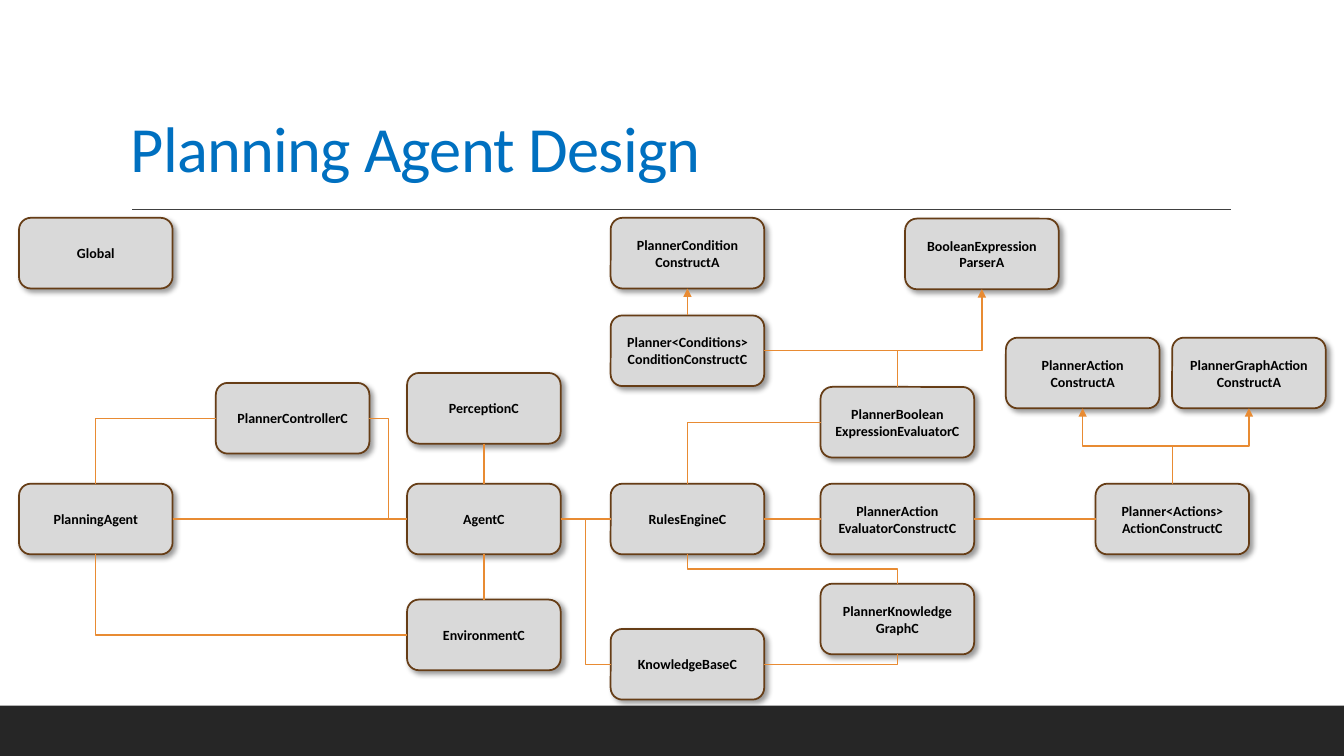
from lxml.etree import SubElement
from pptx import Presentation
from pptx.dml.color import RGBColor
from pptx.enum.shapes import MSO_CONNECTOR as Link, MSO_SHAPE as Shape
from pptx.enum.text import MSO_ANCHOR as Anchor, PP_ALIGN as Align
from pptx.oxml.ns import qn
from pptx.util import Cm, Pt

COLORS = {"bar": "262626", "rule": "404040", "title": "0070C0", "box": "D9D9D9",
          "border": "663D16", "link": "E88B33", "text": "000000"}
FONT = "Calibri"
PAGE_WIDTH, PAGE_HEIGHT = 33.87, 19.05
BOX_WIDTH, BOX_HEIGHT = 3.87, 1.78
TOP, LEFT, BOTTOM, RIGHT = range(4)

# Class boxes: name -> (left, top, lines), in cm from the diagram corner
CLASSES = {
    "global": (0, 0, ["Global"]),
    "agent": (0, 6.7, ["PlanningAgent"]),
    "controller": (4.96, 4.16, ["PlannerControllerC"]),
    "perception": (9.78, 3.91, ["PerceptionC"]),
    "agent_c": (9.78, 6.7, ["AgentC"]),
    "environment": (9.78, 9.62, ["EnvironmentC"]),
    "condition_a": (14.91, 0, ["PlannerCondition", "ConstructA"]),
    "condition_c": (14.91, 2.46, ["Planner<Conditions>ConditionConstructC"]),
    "rules": (14.91, 6.7, ["RulesEngineC"]),
    "knowledge": (14.91, 10.36, ["KnowledgeBaseC"]),
    "boolean": (20.2, 4.26, ["PlannerBoolean", "ExpressionEvaluatorC"]),
    "evaluator": (20.2, 6.7, ["PlannerAction", "EvaluatorConstructC"]),
    "graph": (20.2, 9.22, ["PlannerKnowledge", "GraphC"]),
    "parser": (22.33, 0.02, ["BooleanExpression", "ParserA"]),
    "action_a": (24.87, 3.02, ["PlannerAction", "ConstructA"]),
    "action_c": (27.13, 6.7, ["Planner<Actions>", "ActionConstructC"]),
    "graph_action": (29.06, 3.02, ["PlannerGraphAction", "ConstructA"]),
}

# Plain links: (start, side, end, side)
STRAIGHT = [
    ("perception", BOTTOM, "agent_c", TOP),
    ("environment", TOP, "agent_c", BOTTOM),
    ("agent", RIGHT, "agent_c", LEFT),
    ("agent_c", RIGHT, "rules", LEFT),
    ("rules", RIGHT, "evaluator", LEFT),
    ("action_c", LEFT, "evaluator", RIGHT),
]
# One corner, leaving sideways
CORNERS = [
    ("controller", LEFT, "agent", TOP),
    ("environment", LEFT, "agent", BOTTOM),
    ("boolean", LEFT, "rules", TOP),
    ("condition_c", RIGHT, "boolean", TOP),
    ("knowledge", RIGHT, "graph", BOTTOM),
]
# Two corners, leaving sideways
SIDE_STEPS = [
    ("controller", RIGHT, "agent_c", LEFT),
    ("agent_c", RIGHT, "knowledge", LEFT),
]


def color(name):
    return RGBColor.from_string(COLORS[name])


def style_line(line, name, width):
    line.color.rgb = color(name)
    line.width = Pt(width)


def style_font(font, size, name, bold=False):
    font.name, font.size, font.bold = FONT, Pt(size), bold
    font.color.rgb = color(name)


def add_link(page, kind, start, end, name="link", arrow=False):
    link = page.shapes.add_connector(kind, *start, *end)
    style_line(link.line, name, 1)
    SubElement(link._element.spPr, qn("a:effectLst"))
    if arrow:
        SubElement(link.line._get_or_add_ln(), qn("a:tailEnd"), type="triangle")
    return link


def join(page, boxes, ends, kind=Link.STRAIGHT, arrow=False):
    start, start_side, end, end_side = ends
    link = add_link(page, kind, (0, 0), (0, 0), arrow=arrow)
    link.begin_connect(boxes[start], start_side)
    link.end_connect(boxes[end], end_side)
    return link


def join_corner(page, boxes, ends):
    link = join(page, boxes, ends, Link.ELBOW)
    link._element.spPr.find(qn("a:prstGeom")).set("prst", "bentConnector2")


def join_upright(page, boxes, ends, bend=0.5, arrow=True):
    """Two corners, leaving vertically: an elbow turned a quarter about its centre."""
    link = join(page, boxes, ends, Link.ELBOW, arrow)
    rightward = link.end_x > link.begin_x
    upward = link.end_y < link.begin_y
    left, top, width, height = link.left, link.top, link.width, link.height
    link.left, link.top = left + (width - height) // 2, top + (height - width) // 2
    link.width, link.height = height, width
    frame = link._element.spPr.find(qn("a:xfrm"))
    frame.set("rot", "5400000")
    frame.set("flipH", str(int(upward)))
    frame.set("flipV", str(int(rightward)))
    geometry = link._element.spPr.find(qn("a:prstGeom"))
    guides = geometry.find(qn("a:avLst"))
    if guides is None:
        guides = SubElement(geometry, qn("a:avLst"))
    SubElement(guides, qn("a:gd"), name="adj1", fmla=f"val {int(bend * 100000)}")


def add_class(page, left, top, lines):
    box = page.shapes.add_shape(Shape.ROUNDED_RECTANGLE, Cm(left), Cm(top),
                                Cm(BOX_WIDTH), Cm(BOX_HEIGHT))
    box.fill.solid()
    box.fill.fore_color.rgb = color("box")
    style_line(box.line, "border", 1.25)
    # Soft shadow to the lower right
    box.shadow.inherit = False
    effects = box._element.spPr.find(qn("a:effectLst"))
    shadow = SubElement(effects, qn("a:outerShdw"), blurRad=str(Pt(4)), dist=str(Pt(3)),
                        dir="2700000", algn="tl", rotWithShape="0")
    tint = SubElement(shadow, qn("a:srgbClr"), val=COLORS["text"])
    SubElement(tint, qn("a:alpha"), val="40000")
    frame = box.text_frame
    frame.word_wrap = True
    frame.vertical_anchor = Anchor.MIDDLE
    frame.text = "\n".join(lines)
    for para in frame.paragraphs:
        para.alignment = Align.CENTER
        style_font(para.font, 10, "text", bold=True)
    return box


def add_footer_bar(page, left, top, width, height):
    bar = page.shapes.add_shape(Shape.RECTANGLE, Cm(left), Cm(top), Cm(width), Cm(height))
    bar.shadow.inherit = False
    bar.fill.solid()
    bar.fill.fore_color.rgb = color("bar")
    bar.line.fill.background()


def add_heading(page, left, top, width, height):
    frame = page.shapes.add_textbox(Cm(left), Cm(top), Cm(width), Cm(height)).text_frame
    frame.word_wrap = True
    frame.vertical_anchor = Anchor.BOTTOM
    para = frame.paragraphs[0]
    para.line_spacing = 0.9
    span = para.add_run()
    span.text = "Planning Agent Design"
    style_font(span.font, 46, "title")
    span.font._element.set("spc", "-50")
    # Rule under the title
    rule_left, rule_top = left + 0.28, top + height + 0.45
    add_link(page, Link.STRAIGHT, (Cm(rule_left), Cm(rule_top)),
             (Cm(rule_left + 27.69), Cm(rule_top)), "rule")


def add_diagram(page, left, top):
    boxes = {name: add_class(page, left + x, top + y, lines)
             for name, (x, y, lines) in CLASSES.items()}
    for ends in STRAIGHT:
        join(page, boxes, ends)
    for ends in CORNERS:
        join_corner(page, boxes, ends)
    for ends in SIDE_STEPS:
        join(page, boxes, ends, Link.ELBOW)
    # Inheritance arrows
    join(page, boxes, ("condition_c", TOP, "condition_a", BOTTOM), arrow=True)
    join_upright(page, boxes, ("boolean", TOP, "parser", BOTTOM), bend=0.37)
    for parent in ("action_a", "graph_action"):
        join_upright(page, boxes, ("action_c", TOP, parent, BOTTOM))
    join_upright(page, boxes, ("graph", TOP, "rules", BOTTOM), arrow=False)


def main():
    deck = Presentation()
    deck.slide_width, deck.slide_height = Cm(PAGE_WIDTH), Cm(PAGE_HEIGHT)
    page = deck.slides.add_slide(deck.slide_layouts[6])
    add_footer_bar(page, 0, 17.78, PAGE_WIDTH, PAGE_HEIGHT - 17.78)
    add_heading(page, 3.05, 0.79, 27.94, 4.04)
    add_diagram(page, 0.48, 5.49)
    deck.save("out.pptx")


if __name__ == "__main__":
    main()
